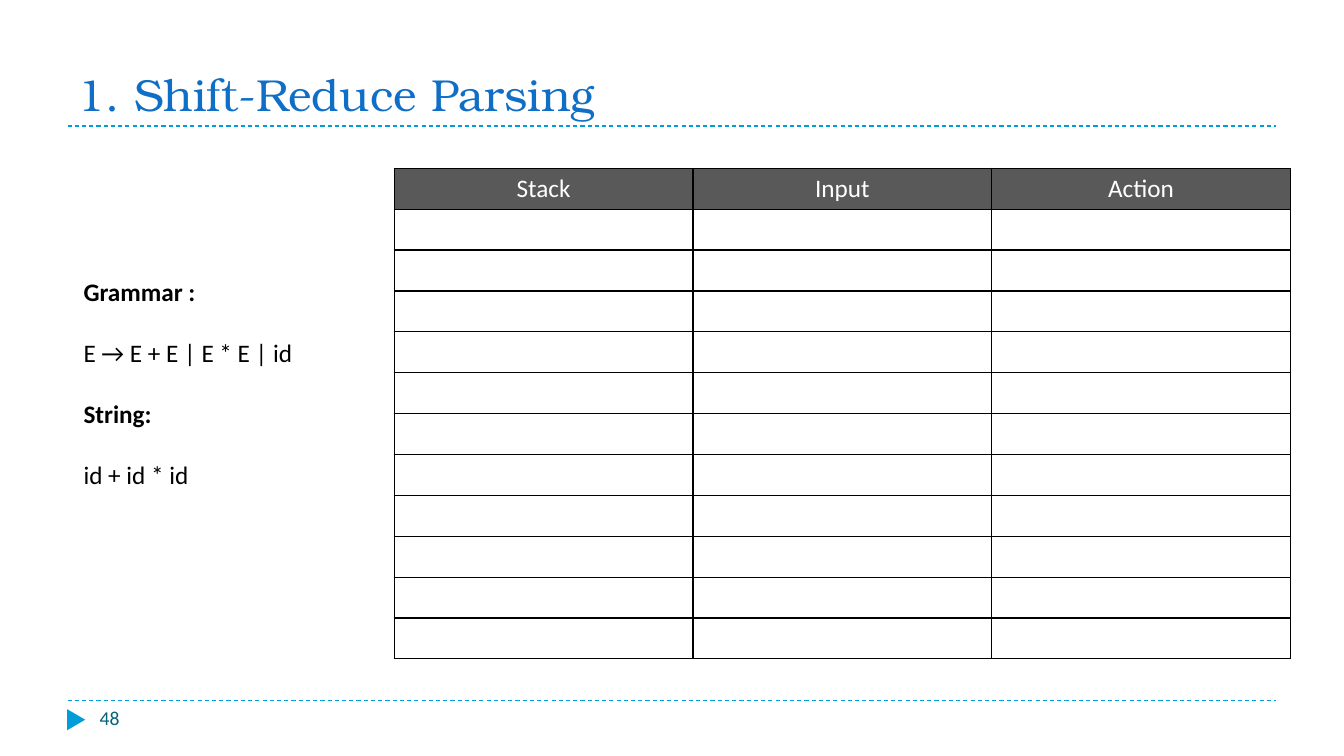
from pptx import Presentation
from pptx.dml.color import RGBColor
from pptx.enum.dml import MSO_LINE
from pptx.enum.shapes import MSO_CONNECTOR, MSO_SHAPE
from pptx.enum.text import MSO_ANCHOR, MSO_AUTO_SIZE, PP_ALIGN
from pptx.oxml.ns import qn
from pptx.util import Inches, Pt
from lxml.etree import SubElement

BLUE = RGBColor(0x0F, 0x6F, 0xC6)
CYAN = RGBColor(0x00, 0x9D, 0xD9)
TEAL = RGBColor(0x04, 0x61, 0x7B)
GRAY = RGBColor(0x59, 0x59, 0x59)
BLACK = RGBColor(0, 0, 0)
WHITE = RGBColor(0xFF, 0xFF, 0xFF)


def write(p, text, size=18, color=BLACK, bold=False, font="Calibri", align=PP_ALIGN.LEFT, before=0):
    p.alignment = align
    p.space_before = Pt(before)
    r = p.add_run()
    r.text = text
    r.font.name = font
    r.font.size = Pt(size)
    r.font.bold = bold
    r.font.color.rgb = color


def add_rule(s, x, y, w):
    line = s.shapes.add_connector(MSO_CONNECTOR.STRAIGHT, Inches(x), Inches(y), Inches(x + w), Inches(y))
    line.line.color.rgb = CYAN
    line.line.width = Pt(0.75)
    line.line.dash_style = MSO_LINE.DASH
    SubElement(line._element.spPr, qn("a:effectLst"))


def add_title(s, x, y, w, h, text):
    sp = s.shapes.title
    sp.left, sp.top, sp.width, sp.height = (Inches(v) for v in (x, y, w, h))
    tf = sp.text_frame
    tf.auto_size = MSO_AUTO_SIZE.NONE
    tf.vertical_anchor = MSO_ANCHOR.BOTTOM
    write(tf.paragraphs[0], text, size=32, color=BLUE, font="TeX Gyre Bonum")
    add_rule(s, x, y + h, w - 0.01)


def add_footer(s, x, y, w, number):
    add_rule(s, x, y, w)
    sp = s.shapes.add_shape(MSO_SHAPE.ISOSCELES_TRIANGLE, Inches(x - 0.02), Inches(y + 0.1), Inches(0.21), Inches(0.18))
    sp.rotation = 90
    sp.shadow.inherit = False
    sp.fill.solid()
    sp.fill.fore_color.rgb = CYAN
    sp.line.fill.background()
    box = s.shapes.add_textbox(Inches(x + 0.22), Inches(y), Inches(2.89), Inches(0.4))
    box.text_frame.word_wrap = True
    write(box.text_frame.paragraphs[0], number, size=14, color=TEAL)


def add_grammar(s, x, y, w, h, sections):
    tf = s.shapes.add_textbox(Inches(x), Inches(y), Inches(w), Inches(h)).text_frame
    tf.word_wrap = False
    tf.auto_size = MSO_AUTO_SIZE.SHAPE_TO_FIT_TEXT
    lines = [(text, bold) for heading, body in sections for text, bold in ((heading, True), (body, False))]
    for i, (text, bold) in enumerate(lines):
        p = tf.add_paragraph() if i else tf.paragraphs[0]
        write(p, text, bold=bold, before=22 if i else 0)


def set_borders(cell):
    tcPr = cell._tc.get_or_add_tcPr()
    for side in ("lnL", "lnR", "lnT", "lnB"):
        ln = SubElement(tcPr, qn(f"a:{side}"), w=str(Pt(1)))
        fill = SubElement(ln, qn("a:solidFill"))
        SubElement(fill, qn("a:srgbClr"), val=str(BLACK))


def add_parse_table(s, x, y, w, h, headings, rows):
    table = s.shapes.add_table(rows, len(headings), Inches(x), Inches(y), Inches(w), Inches(h)).table
    table.horz_banding = False
    for cell in table.iter_cells():
        set_borders(cell)
        cell.fill.background()
    for cell, heading in zip(table.rows[0].cells, headings):
        cell.fill.solid()
        cell.fill.fore_color.rgb = GRAY
        write(cell.text_frame.paragraphs[0], heading, color=WHITE, align=PP_ALIGN.CENTER)


def main():
    prs = Presentation()
    prs.slide_width, prs.slide_height = Inches(13.33), Inches(7.5)
    s = prs.slides.add_slide(prs.slide_layouts[5])
    add_title(s, 0.67, 0.25, 12, 1, "1. Shift-Reduce Parsing")
    add_footer(s, 0.67, 6.95, 11.99, "48")
    add_grammar(s, 0.73, 2.69, 2.35, 2.22, [
        ("Grammar :", "E → E + E | E * E | id"),
        ("String:", "id + id * id"),
    ])
    add_parse_table(s, 3.91, 1.67, 8.89, 4.87, ["Stack", "Input", "Action"], 12)
    prs.save("out.pptx")


if __name__ == "__main__":
    main()
